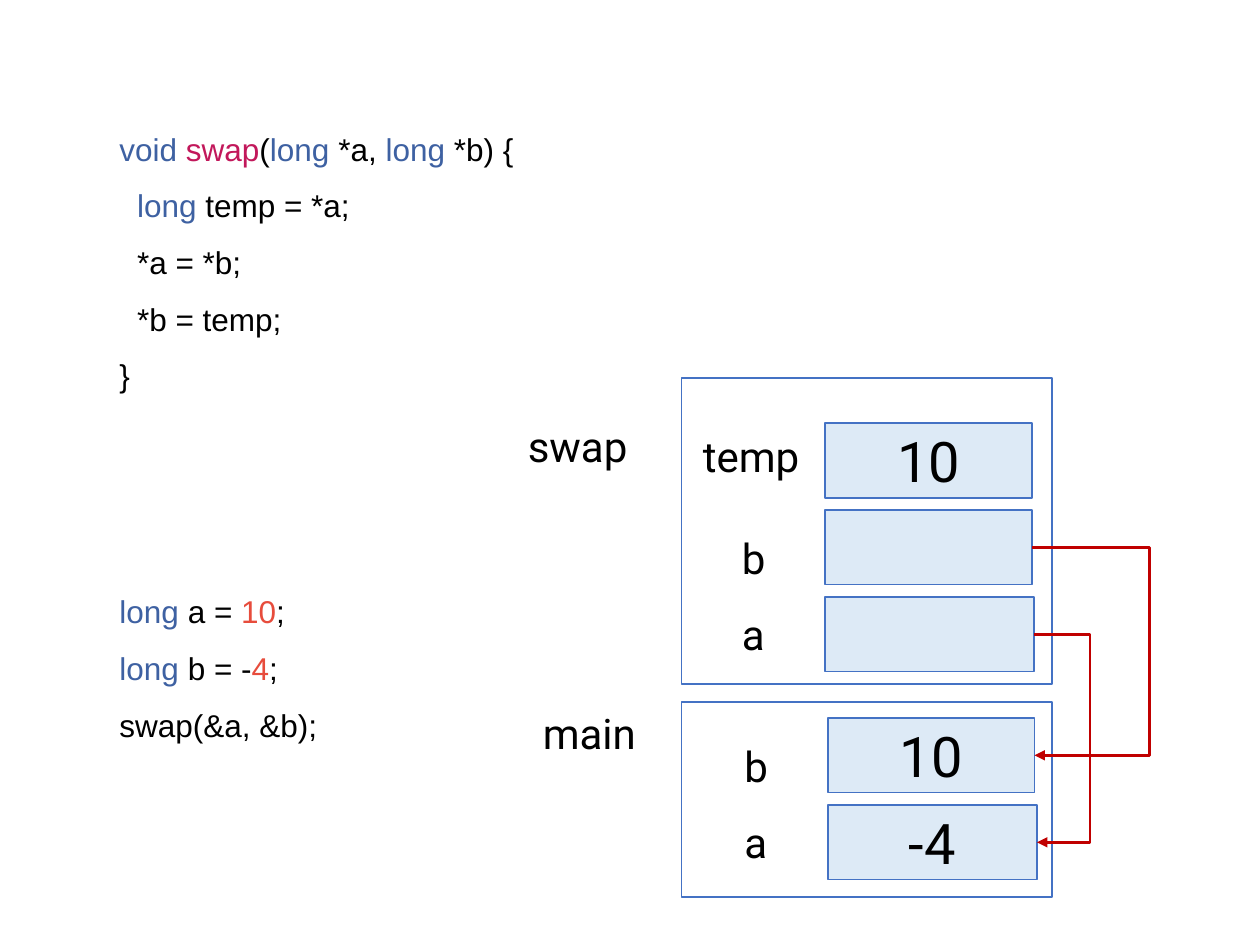
import pptx
import pptx.util
import pptx.dml.color
import pptx.enum.shapes
import pptx.enum.text
import pptx.oxml.ns
import lxml.etree

BLACK, KEYWORD, FUNCTION, NUMBER = "000000", "3E61A2", "C2185B", "E74C3C"
WHITE, SLOT_FILL, BORDER, ARROW = "FFFFFF", "DDEAF6", "4472C4", "C00000"
ROW, SLOT_HEIGHT = 0.69, 0.59
SLOT_WIDTHS = {"temp": 1.64, "b": 1.64, "a": 1.66}
LABELS = {"temp": (-1.07, 0.01, 1.11), "b": (-0.76, 0.13, 0.4), "a": (-0.76, 0.04, 0.43)}

SWAP_CODE = [
    (0, [("void ", KEYWORD), ("swap", FUNCTION), ("(", BLACK), ("long", KEYWORD),
         (" *a, ", BLACK), ("long", KEYWORD), (" *b) {", BLACK)]),
    (1, [("long", KEYWORD), (" temp = *a;", BLACK)]),
    (1, [("*a = *b;", BLACK)]),
    (1, [("*b = temp;", BLACK)]),
    (0, [("}", BLACK)]),
]
MAIN_CODE = [
    (0, [("long", KEYWORD), (" a = ", BLACK), ("10", NUMBER), (";", BLACK)]),
    (0, [("long", KEYWORD), (" b = -", BLACK), ("4", NUMBER), (";", BLACK)]),
    (0, [("swap(&a, &b);", BLACK)]),
]


def color(value):
    return pptx.dml.color.RGBColor.from_string(value)


def inches(*values):
    return [pptx.util.Inches(value) for value in values]


def add_span(para, text, size, font, shade=BLACK):
    span = para.add_run()
    span.text = text
    span.font.size = pptx.util.Pt(size)
    span.font.name = font
    span.font.color.rgb = color(shade)


def add_text_box(page, left, top, width, height):
    box = page.shapes.add_textbox(*inches(left, top, width, height))
    box.text_frame.word_wrap = True
    return box.text_frame


def add_code(page, top, height, lines):
    frame = add_text_box(page, 0.85, top, 4.56, height)
    for number, (depth, spans) in enumerate(lines):
        para = frame.add_paragraph() if number else frame.paragraphs[0]
        para.line_spacing = 1.5
        if depth:
            para._p.get_or_add_pPr().set("marL", str(pptx.util.Inches(0.14 * depth)))
        for text, shade in spans:
            add_span(para, text, 18, "Arial", shade)


def add_label(page, text, left, top, width):
    frame = add_text_box(page, left, top, width, 0.5)
    add_span(frame.paragraphs[0], text, 24, "Roboto")


def add_box(page, left, top, width, height, fill, text=""):
    box = page.shapes.add_shape(pptx.enum.shapes.MSO_SHAPE.RECTANGLE,
                                *inches(left, top, width, height))
    box.shadow.inherit = False
    box.fill.solid()
    box.fill.fore_color.rgb = color(fill)
    box.line.color.rgb = color(BORDER)
    box.line.width = pptx.util.Pt(1)
    if text:
        box.text_frame.vertical_anchor = pptx.enum.text.MSO_ANCHOR.MIDDLE
        para = box.text_frame.paragraphs[0]
        para.alignment = pptx.enum.text.PP_ALIGN.CENTER
        add_span(para, text, 32, "Roboto")


def add_stack_frame(page, name, name_place, top, height, slot_left, slot_top, slots):
    add_box(page, 5.41, top, 2.94, height, WHITE)
    add_label(page, name, *name_place)
    ends = {}
    for row, (variable, value) in enumerate(slots):
        y = slot_top + row * ROW
        width = SLOT_WIDTHS[variable]
        add_box(page, slot_left, y, width, SLOT_HEIGHT, SLOT_FILL, value)
        dx, dy, label_width = LABELS[variable]
        add_label(page, variable, slot_left + dx, y + dy, label_width)
        ends[variable] = (slot_left + width, y + SLOT_HEIGHT / 2)
    return ends


def add_pointer(page, start, end, bend):
    line = page.shapes.add_connector(pptx.enum.shapes.MSO_CONNECTOR.ELBOW,
                                     *inches(*start, *end))
    line.line.color.rgb = color(ARROW)
    line.line.width = pptx.util.Pt(1.5)
    qn = pptx.oxml.ns.qn
    properties = line._element.spPr
    guides = properties.find(qn("a:prstGeom")).get_or_add_avLst()
    share = round((bend - start[0]) / (end[0] - start[0]) * 100000)
    lxml.etree.SubElement(guides, qn("a:gd"), name="adj1", fmla=f"val {share}")
    lxml.etree.SubElement(properties.find(qn("a:ln")), qn("a:tailEnd"), type="triangle")
    lxml.etree.SubElement(properties, qn("a:effectLst"))


def main():
    deck = pptx.Presentation()
    deck.slide_width, deck.slide_height = inches(10, 7.5)
    page = deck.slides.add_slide(deck.slide_layouts[6])
    add_code(page, 0.83, 2.32, SWAP_CODE)
    add_code(page, 4.5, 1.42, MAIN_CODE)
    sources = add_stack_frame(page, "swap", (4.09, 3.29, 1.09), 3, 2.43, 6.55, 3.36,
                              [("temp", "10"), ("b", ""), ("a", "")])
    targets = add_stack_frame(page, "main", (4.21, 5.57, 1.15), 5.57, 1.55, 6.57, 5.7,
                              [("b", "10"), ("a", "-4")])
    for variable, bend in (("a", 8.65), ("b", 9.12)):
        add_pointer(page, sources[variable], targets[variable], bend)
    deck.save("out.pptx")


main()
